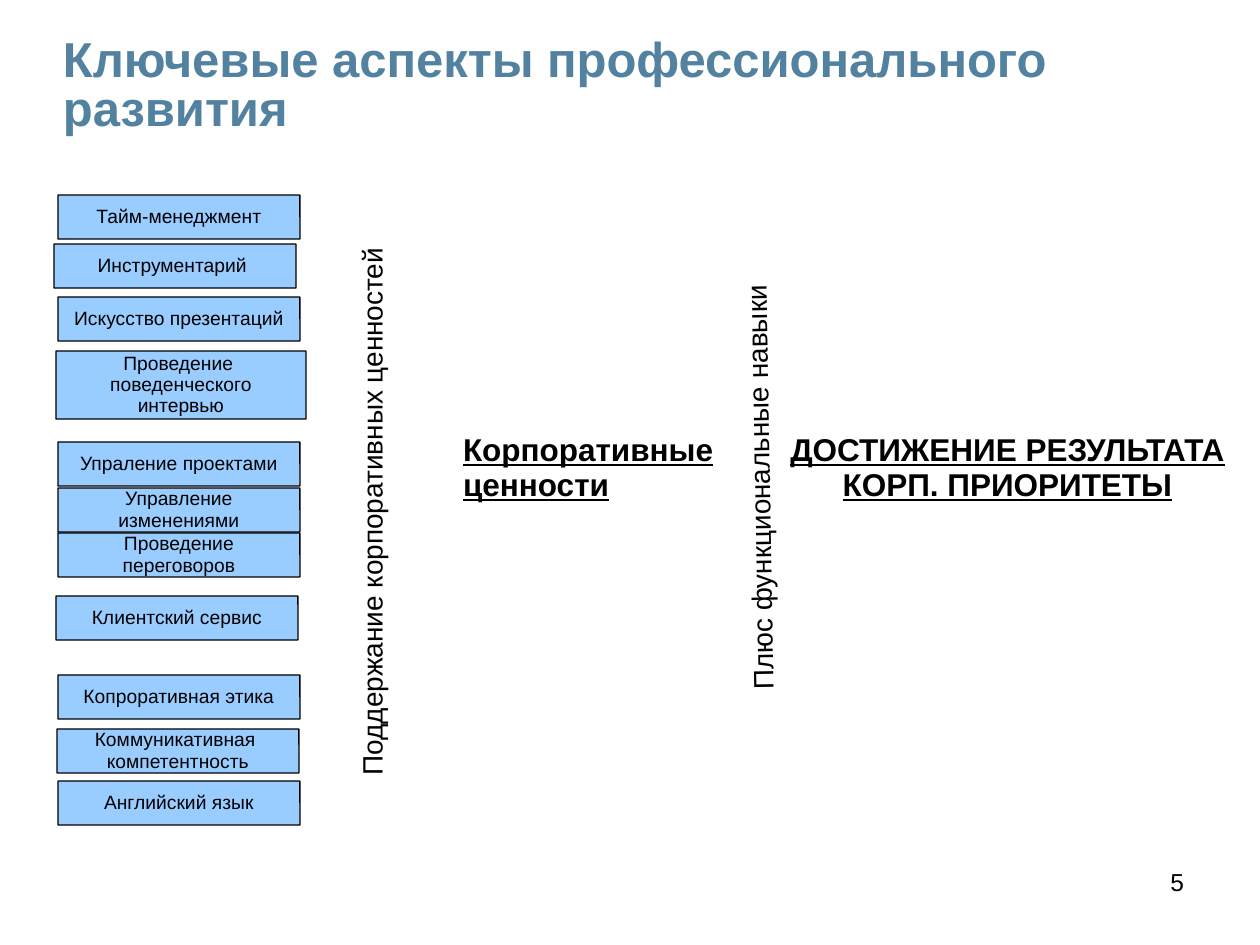
"""Build the slide on key aspects of professional development."""
from pptx import Presentation
from pptx.dml.color import RGBColor
from pptx.enum.shapes import MSO_SHAPE
from pptx.enum.text import MSO_ANCHOR, PP_ALIGN
from pptx.util import Pt

ROUND = MSO_SHAPE.ROUNDED_RECTANGLE
TOP, MID = MSO_ANCHOR.TOP, MSO_ANCHOR.MIDDLE
LEFT, MIDDLE, RIGHT = PP_ALIGN.LEFT, PP_ALIGN.CENTER, PP_ALIGN.RIGHT
SCALE = 914400 // 126

THEME = {
    "font": "Arial",
    "black": RGBColor.from_string("000000"),
    "blue": RGBColor.from_string("5382A1"),
    "sky": RGBColor.from_string("99CCFF"),
    "line": Pt(0.75),
    "round": 0.005,
    "title": Pt(28), "goal": Pt(18), "side": Pt(16), "page": Pt(14), "skill": Pt(11),
}

SKILL_W, SKILL_H = 242, 44
TALL_W, TALL_H = 250, 68
SKILLS = [
    (58, 195, ["Тайм-менеджмент"]),
    (54, 244, ["Инструментарий "]),
    (58, 297, ["Искусство презентаций"]),
    (56, 351, ["Проведение ", "поведенческого", "интервью"]),
    (58, 442, ["Упраление проектами"]),
    (58, 488, ["Управление изменениями"]),
    (58, 533, ["Проведение переговоров"]),
    (56, 596, ["Клиентский сервис"]),
    (58, 675, ["Копроративная этика"]),
    (57, 729, ["Коммуникативная ", "компетентность"]),
    (58, 781, ["Английский язык"]),
]

INSET, NONE, PAGE = (11, 5), (0, 0), (13, 6)
TEXTS = [
    {"at": (63, 38, 1134, 98), "lines": ["Ключевые аспекты профессионального развития"],
     "size": "title", "tint": "blue", "bold": True, "gap": 0.84, "inset": NONE, "wrap": True},
    {"at": (452, 428, 285, 110), "lines": ["Корпоративные", "ценности"],
     "size": "goal", "bold": True, "under": True},
    {"at": (775, 428, 465, 110), "lines": ["ДОСТИЖЕНИЕ РЕЗУЛЬТАТА", "КОРП. ПРИОРИТЕТЫ"],
     "size": "goal", "bold": True, "under": True, "align": MIDDLE},
    {"at": (93, 484, 562, 43), "lines": ["Поддержание корпоративных ценностей"],
     "size": "side", "turn": 270},
    {"at": (543, 461, 437, 43), "lines": ["Плюс функциональные навыки"],
     "size": "side", "turn": 269},
    {"at": (903, 861, 294, 66), "lines": ["5"],
     "size": "page", "align": RIGHT, "gap": 1.0, "inset": PAGE, "wrap": True},
]


def px(*nums):
    return [num * SCALE for num in nums]


def apply(item, form):
    for name, value in form.items():
        setattr(item, name, value)


def write(shape, lines, size, tint="black", bold=False, under=False,
          align=LEFT, gap=0.93, inset=INSET, wrap=False, anchor=TOP):
    side, edge = px(*inset)
    frame = shape.text_frame
    apply(frame, {"margin_left": side, "margin_right": side, "margin_top": edge,
                  "margin_bottom": edge, "word_wrap": wrap, "vertical_anchor": anchor})
    frame.text = "\n".join(lines)
    for para in frame.paragraphs:
        apply(para, {"alignment": align, "line_spacing": gap})
        for run in para.runs:
            apply(run.font, {"name": THEME["font"], "size": THEME[size],
                             "bold": bold, "underline": under})
            run.font.color.rgb = THEME[tint]


def add_skill(slide, left, top, lines):
    size = (TALL_W, TALL_H) if len(lines) > 2 else (SKILL_W, SKILL_H)
    box = slide.shapes.add_shape(ROUND, *px(left, top, *size))
    box.adjustments[0] = THEME["round"]
    box.shadow.inherit = False
    box.fill.solid()
    box.fill.fore_color.rgb = THEME["sky"]
    box.line.color.rgb = THEME["black"]
    box.line.width = THEME["line"]
    write(box, lines, "skill", align=MIDDLE, wrap=True, anchor=MID)


def add_text(slide, at, turn=0, **form):
    box = slide.shapes.add_textbox(*px(*at))
    box.rotation = turn
    write(box, **form)


def main():
    deck = Presentation()
    deck.slide_width, deck.slide_height = px(1260, 945)
    slide = deck.slides.add_slide(deck.slide_layouts[6])
    for skill in SKILLS:
        add_skill(slide, *skill)
    for text in TEXTS:
        add_text(slide, **text)
    deck.save("out.pptx")


if __name__ == "__main__":
    main()
